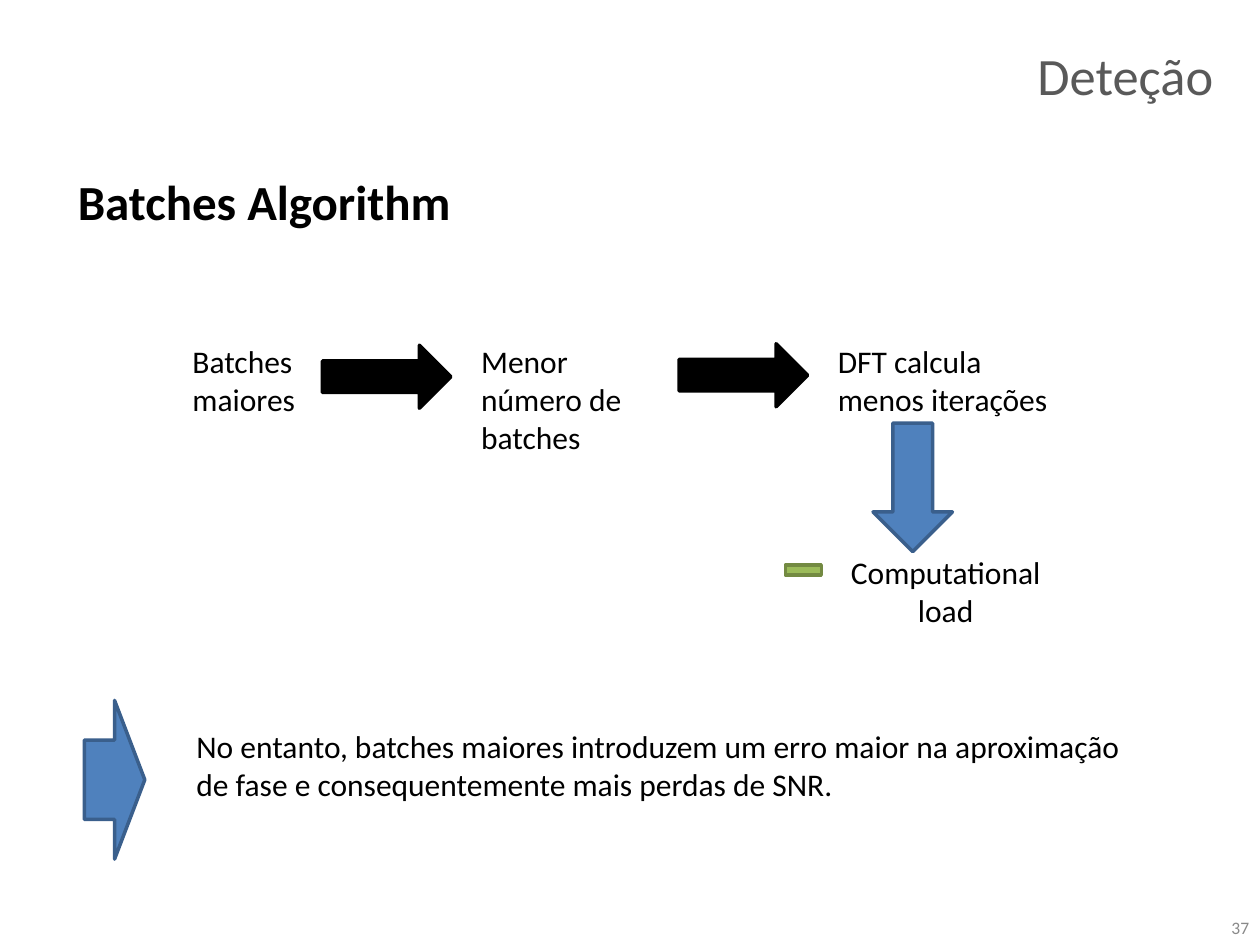
from dataclasses import dataclass

from pptx import Presentation
from pptx.dml.color import RGBColor as RGB
from pptx.enum.shapes import MSO_SHAPE as Shape
from pptx.enum.text import MSO_ANCHOR as Anchor, PP_ALIGN as Align
from pptx.util import Cm, Pt


@dataclass(frozen=True)
class Theme:
    font: str = "Calibri"
    black: str = "000000"
    title: str = "595959"
    muted: str = "898989"
    blue: tuple = ("4F81BD", "3A5F8C")
    green: tuple = ("9BBB59", "738A42")
    dark: tuple = ("000000", "000000")
    big: int = 30
    head: int = 28
    body: int = 18
    small: int = 10
    edge: int = 2


THEME = Theme()


def add_text(slide, text, box, size=THEME.body, color=THEME.black,
             bold=False, align=Align.LEFT, anchor=Anchor.TOP, indent=0):
    """Add a one-paragraph box; box and indent are in centimetres."""
    frame = slide.shapes.add_textbox(*map(Cm, box)).text_frame
    frame.word_wrap = True
    frame.vertical_anchor = anchor
    para = frame.paragraphs[0]
    para.alignment = align
    if indent:
        props = para._p.get_or_add_pPr()
        props.set("marL", str(Cm(indent)))
        props.set("indent", "0")
    run = para.add_run()
    run.text = text
    style = {"name": THEME.font, "size": Pt(size), "bold": bold}
    for key, value in style.items():
        setattr(run.font, key, value)
    run.font.color.rgb = RGB.from_string(color)


def add_mark(slide, kind, box, colors):
    """Add a preset shape; colors holds its fill and its outline."""
    mark = slide.shapes.add_shape(kind, *map(Cm, box))
    mark.shadow.inherit = False
    fill, line = map(RGB.from_string, colors)
    mark.fill.solid()
    mark.fill.fore_color.rgb = fill
    mark.line.color.rgb = line
    mark.line.width = Pt(THEME.edge)


def add_flow(slide):
    """Add the chain of causes and its effect on the load."""
    top, indent = 6.78, 2.54
    steps = [
        ("Batches maiores", 1.09, 6.48, 1.8),
        ("Menor número de batches", 6.91, 6.81, 2.57),
        ("DFT calcula menos iterações", 14.1, 7.8, 1.8),
    ]
    for text, left, width, height in steps:
        add_text(slide, text, (left, top, width, height), indent=indent)
    for left, y in ((6.5, 6.96), (13.69, 6.93)):
        add_mark(slide, Shape.RIGHT_ARROW, (left, y, 2.59, 1.27), THEME.dark)
    add_mark(slide, Shape.DOWN_ARROW, (17.6, 8.53, 1.6, 2.59), THEME.blue)
    add_text(slide, "Computational load", (14.1, 11.02, 7.39, 1.8),
             align=Align.CENTER, indent=indent)
    add_mark(slide, Shape.MATH_MINUS, (15.7, 11.07, 0.99, 0.84), THEME.green)


def add_note(slide):
    add_mark(slide, Shape.RIGHT_ARROW, (1.7, 14.12, 1.22, 3.2), THEME.blue)
    add_text(slide, "No entanto, batches maiores introduzem um erro maior na "
             "aproximação de fase e consequentemente mais perdas de SNR.",
             (3.71, 14.53, 19.61, 1.8))


def main():
    deck = Presentation()
    deck.slide_width, deck.slide_height = Cm(25.4), Cm(19.05)
    slide = deck.slides.add_slide(deck.slide_layouts[6])
    add_text(slide, "Deteção", (3.91, 0.74, 20.8, 1.8), THEME.big,
             THEME.title, align=Align.RIGHT, indent=1)
    add_text(slide, "Batches Algorithm", (1.32, 3.33, 8.99, 1.45),
             THEME.head, bold=True)
    add_flow(slide)
    add_note(slide)
    add_text(slide, "37", (19.51, 18.19, 5.92, 1.02), THEME.small,
             THEME.muted, align=Align.RIGHT, anchor=Anchor.MIDDLE)
    deck.save("out.pptx")


if __name__ == "__main__":
    main()
